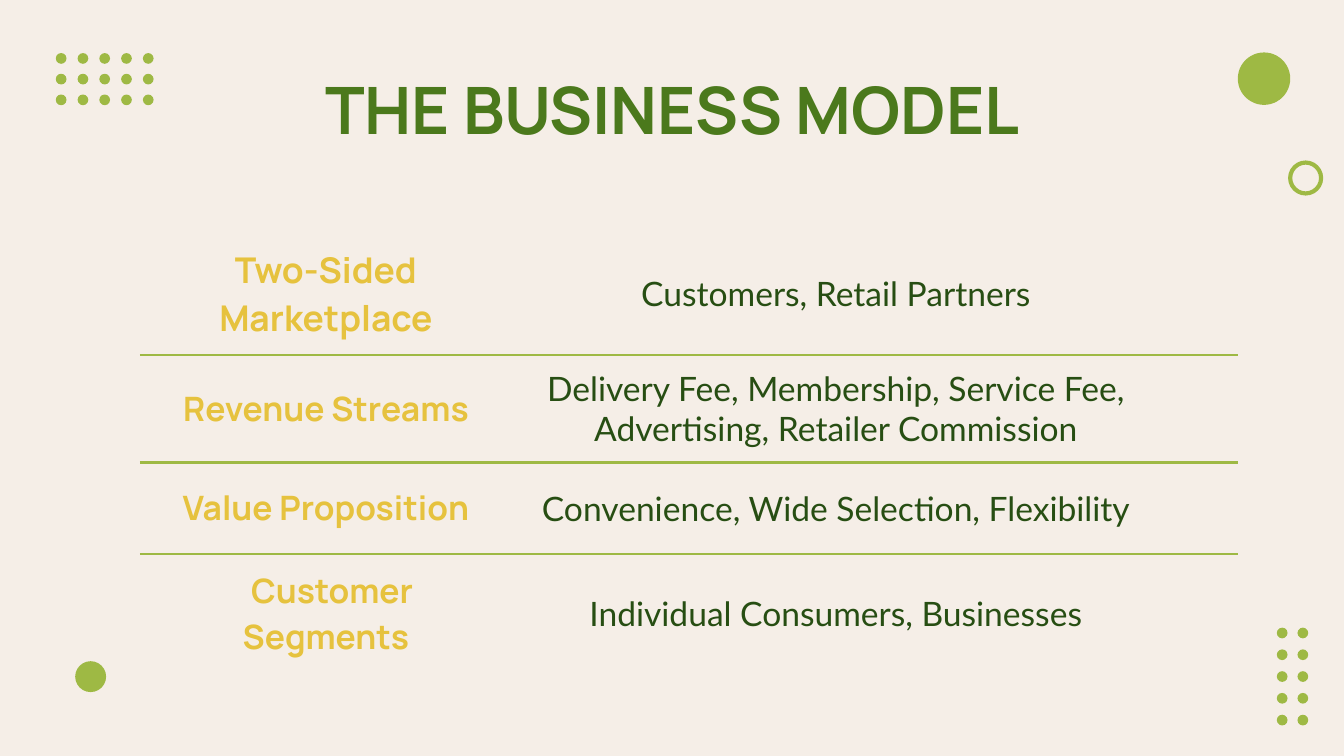
"""Build the business model slide on a grid of 100 columns, each a tenth of an inch."""
from lxml.etree import SubElement
from pptx import Presentation
from pptx.dml.color import RGBColor
from pptx.enum.shapes import MSO_SHAPE
from pptx.enum.text import MSO_ANCHOR, PP_ALIGN
from pptx.oxml.ns import qn
from pptx.util import Inches, Pt

SLIDE_COLUMNS, SLIDE_ROWS = 100, 56.25
LIME, GREEN, DARK_GREEN, GOLD, CREAM = "9EB944", "4B791C", "274E13", "E6C23E", "F5EEE7"
DOT = 0.8

TITLE_FORMAT = {"name": "Manrope", "size": Pt(35), "bold": True}
LABEL_FORMAT = {"name": "Manrope", "size": Pt(18), "bold": True}
FIRST_LABEL_FORMAT = {**LABEL_FORMAT, "size": Pt(19)}
DETAIL_FORMAT = {"name": "Lato", "size": Pt(18), "bold": False}

COLUMN_WIDTHS = [27.7, 48.2, 5.8]
MODEL_ROWS = [
    (9.1, "Two-Sided Marketplace", "Customers, Retail Partners"),
    (8, "Revenue Streams",
     "Delivery Fee, Membership, Service Fee, Advertising, Retailer Commission"),
    (6.8, "Value Proposition", "Convenience, Wide Selection, Flexibility"),
    (8.9, "Customer Segments", "Individual Consumers, Businesses"),
]


def grid(*units):
    """Turn grid units into lengths."""
    return [Inches(unit / 10) for unit in units]


def paint(color_format, hex_color):
    """Apply a hex colour to a colour format."""
    color_format.rgb = RGBColor.from_string(hex_color)


def write(text_frame, text, font_format, hex_color):
    """Write one centred paragraph and return it."""
    paragraph = text_frame.paragraphs[0]
    paragraph.alignment = PP_ALIGN.CENTER
    run = paragraph.add_run()
    run.text = text
    for name, value in font_format.items():
        setattr(run.font, name, value)
    paint(run.font.color, hex_color)
    return paragraph


def add_circle(slide, left, top, diameter, filled=True):
    """Add a lime disc or, when not filled, a lime ring."""
    circle = slide.shapes.add_shape(MSO_SHAPE.OVAL, *grid(left, top, diameter, diameter))
    circle.shadow.inherit = False
    if filled:
        circle.fill.solid()
        paint(circle.fill.fore_color, LIME)
        circle.line.fill.background()
    else:
        circle.fill.background()
        paint(circle.line.color, LIME)
        circle.line.width = Pt(2.25)


def add_dots(slide, left, top, columns, rows, step_across, step_down):
    """Add an evenly spaced field of dots."""
    for row in range(rows):
        for column in range(columns):
            add_circle(slide, left + column * step_across, top + row * step_down, DOT)


def add_title(slide, text):
    """Add the centred heading."""
    box = slide.shapes.add_textbox(*grid(7.9, 4.9, 84.3, 6.3))
    frame = box.text_frame
    frame.word_wrap = True
    frame.vertical_anchor = MSO_ANCHOR.MIDDLE
    write(frame, text, TITLE_FORMAT, GREEN)


def set_borders(cell, ruled_edges):
    """Rule the named edges of a cell and clear the others."""
    properties = cell._tc.get_or_add_tcPr()
    for edge in "LRTB":
        line = SubElement(properties, qn(f"a:ln{edge}"), w=str(Pt(1.5)))
        if edge in ruled_edges:
            fill = SubElement(line, qn("a:solidFill"))
            SubElement(fill, qn("a:srgbClr"), val=LIME)
        else:
            SubElement(line, qn("a:noFill"))


def format_cell(cell, ruled_edges):
    """Give a cell its borders, margins and clear background."""
    set_borders(cell, ruled_edges)
    cell.fill.background()
    cell.vertical_anchor = MSO_ANCHOR.MIDDLE
    for side in ("left", "right", "top", "bottom"):
        setattr(cell, f"margin_{side}", Inches(0.1))


def add_model_table(slide):
    """Add the table of labels and details, ruled between its rows."""
    heights = [height for height, *_ in MODEL_ROWS]
    last = len(MODEL_ROWS) - 1
    area = grid(10.4, 17.3, sum(COLUMN_WIDTHS), sum(heights))
    table = slide.shapes.add_table(len(MODEL_ROWS), len(COLUMN_WIDTHS), *area).table
    table.first_row = table.horz_banding = False
    for column, width in zip(table.columns, grid(*COLUMN_WIDTHS)):
        column.width = width
    for index, (height, label, detail) in enumerate(MODEL_ROWS):
        row = table.rows[index]
        row.height = grid(height)[0]
        edges = ("T" if index > 0 else "") + ("B" if index < last else "")
        for cell in row.cells:
            format_cell(cell, edges)
        label_format = LABEL_FORMAT if index else FIRST_LABEL_FORMAT
        paragraph = write(row.cells[0].text_frame, label, label_format, GOLD)
        if index == last:
            paragraph._p.get_or_add_pPr().set("indent", str(Inches(0.09)))
        write(row.cells[1].text_frame, detail, DETAIL_FORMAT, DARK_GREEN)


def main():
    """Build and save the slide."""
    presentation = Presentation()
    presentation.slide_width, presentation.slide_height = grid(SLIDE_COLUMNS, SLIDE_ROWS)
    slide = presentation.slides.add_slide(presentation.slide_layouts[6])
    slide.background.fill.solid()
    paint(slide.background.fill.fore_color, CREAM)
    add_circle(slide, 5.6, 49.2, 2.3)
    add_dots(slide, 4.15, 3.95, 5, 3, 1.62, 1.54)
    add_circle(slide, 92.1, 3.9, 3.9)
    add_circle(slide, 96, 12.1, 2.3, filled=False)
    add_dots(slide, 95, 46.7, 2, 5, 1.54, 1.62)
    add_title(slide, "THE BUSINESS MODEL")
    add_model_table(slide)
    presentation.save("out.pptx")


if __name__ == "__main__":
    main()
